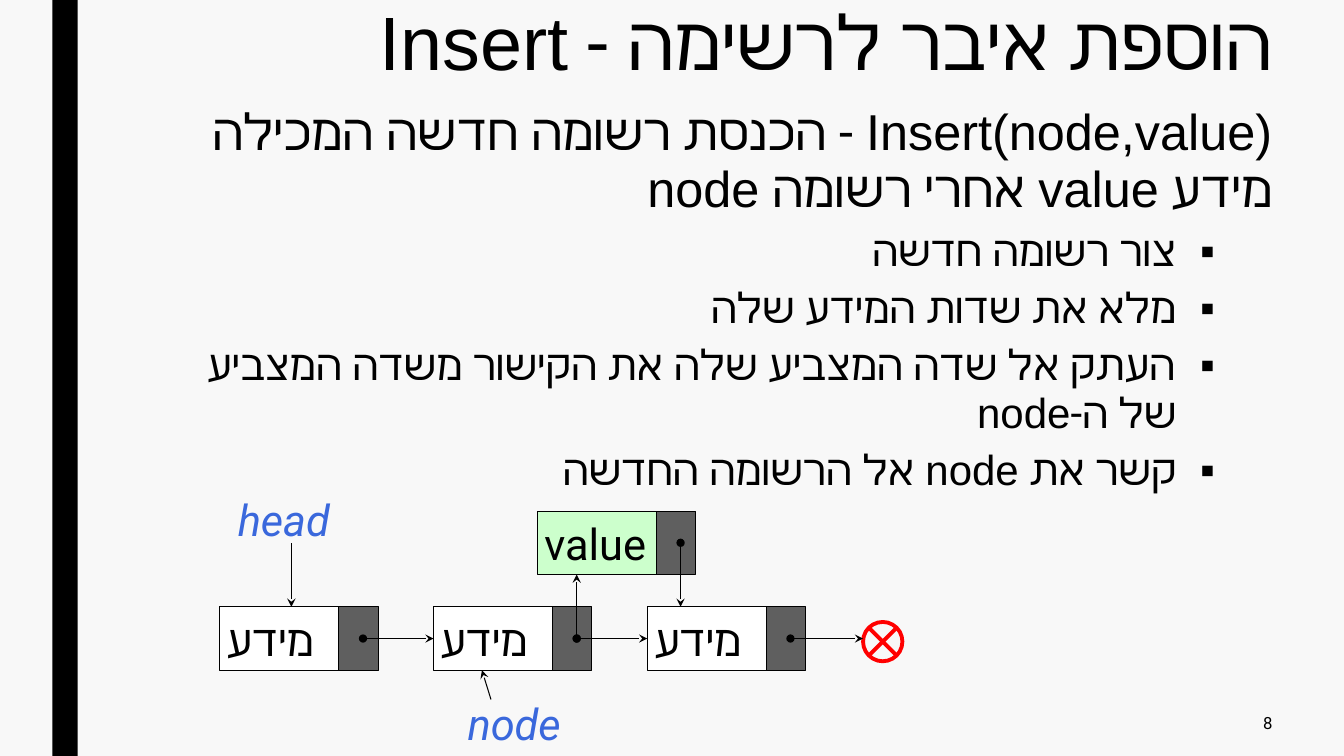
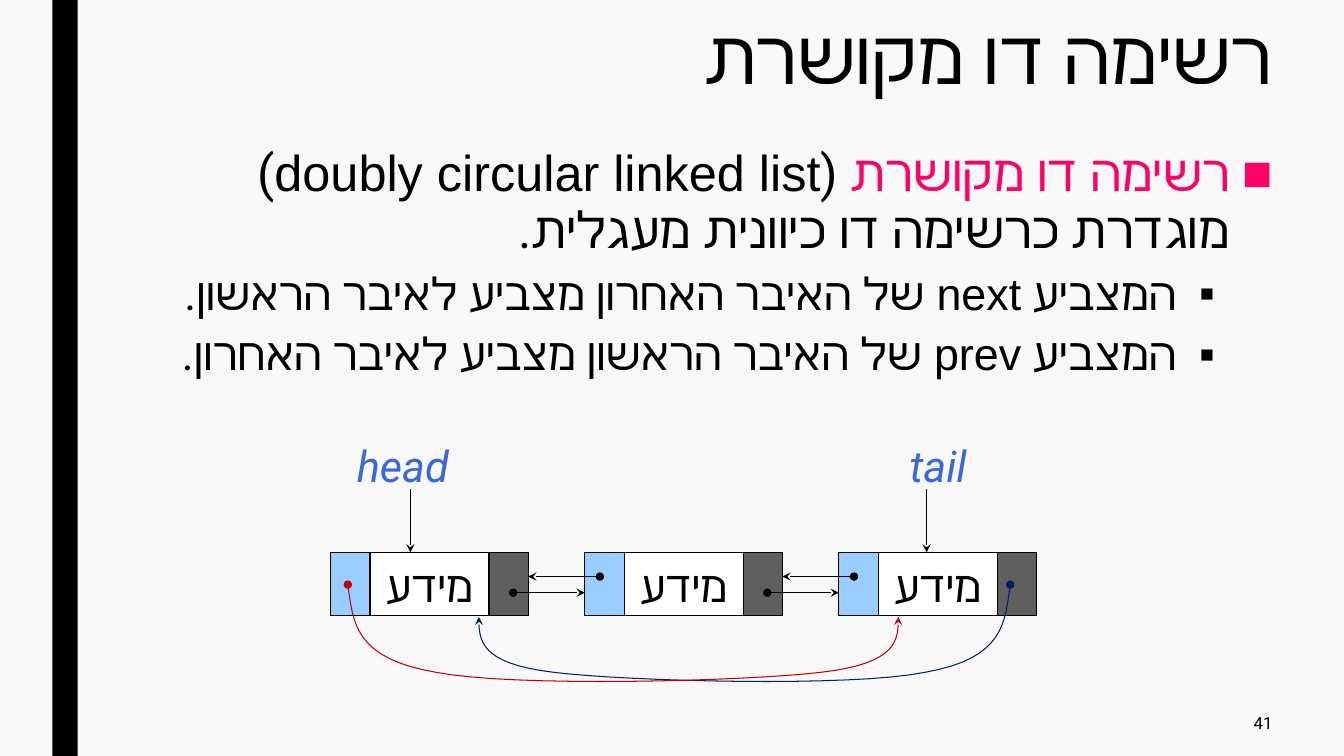
from dataclasses import dataclass

from lxml.etree import SubElement
from pptx import Presentation
from pptx.dml.color import RGBColor
from pptx.enum.shapes import MSO_CONNECTOR, MSO_SHAPE
from pptx.enum.text import MSO_ANCHOR, MSO_AUTO_SIZE, PP_ALIGN
from pptx.oxml.ns import qn
from pptx.util import Inches, Pt


@dataclass(frozen=True)
class Theme:
    paper: str = "F8F8F8"
    ink: str = "000000"
    white: str = "FFFFFF"
    next_cell: str = "5F5F5F"
    prev_cell: str = "99CCFF"
    new_cell: str = "CCFFCC"
    pointer_name: str = "3A68DC"
    term: str = "FF0066"
    null_mark: str = "FF0000"
    to_head: str = "002060"
    to_tail: str = "C00000"
    text_font: str = "Arial"
    diagram_font: str = "Roboto"
    title_size: int = 54
    lead_size: int = 36
    diagram_size: int = 31
    number_size: int = 12
    thin: float = 0.75
    thick: float = 2.75


THEME = Theme()
DATA_WIDTH, LINK_WIDTH, CELL_HEIGHT = 1.18, 0.39, 0.63
DOT_INSET = 0.24
INFO = "מידע"

TITLE_FORMAT = {"alignment": PP_ALIGN.RIGHT, "line_spacing": 0.89}
LEAD_FORMAT = {"alignment": PP_ALIGN.RIGHT, "line_spacing": 0.94,
               "space_before": Pt(0), "space_after": Pt(2)}
ITEM_FORMAT = LEAD_FORMAT | {"level": 1, "space_before": Pt(5)}

# Bezier points of a circular link: share of the run across, inches below the dot
LOOP = [(0, 0), (0.01, 0.37), (0.01, 0.73), (0.16, 0.87), (0.3, 1.02),
        (0.72, 0.96), (0.86, 0.87), (1, 0.78), (1, 0.55), (1, 0.32)]
LOOP_STEPS = 16


def rgb(color):
    return RGBColor.from_string(color)


def apply(target, values):
    for name, value in values.items():
        setattr(target, name, value)


def bezier(points, t):
    """Point at share t of a cubic curve."""
    weights = ((1 - t) ** 3, 3 * t * (1 - t) ** 2, 3 * t * t * (1 - t), t ** 3)
    return tuple(sum(w * p[axis] for w, p in zip(weights, points)) for axis in (0, 1))


class Deck:
    def __init__(self):
        self.prs = Presentation()
        apply(self.prs, {"slide_width": Inches(13.33), "slide_height": Inches(7.5)})
        self.layout = self.prs.slide_layouts[1]
        background = self.prs.slide_master.background.fill
        background.solid()
        background.fore_color.rgb = rgb(THEME.paper)
        self.slide = None

    def new_slide(self, title, title_top, number):
        first = self.slide is None
        self.slide = self.prs.slides.add_slide(self.layout)
        if first:
            band = self.box(0.52, 0, 0.25, 7.5, THEME.ink, line=None)
            self.layout.shapes.element.append(band.element)
        heading = self.slide.shapes.title
        self.place(heading, 1.5, title_top, 11.22, 1.13)
        paragraph = heading.text_frame.paragraphs[0]
        self.paragraph_style(heading, paragraph, 0, rtl=True)
        apply(paragraph, TITLE_FORMAT)
        self.run(paragraph, title, THEME.title_size)
        self.complex_font(heading)
        self.text(str(number), 10.97, 6.95, 1.75, 0.44, PP_ALIGN.RIGHT,
                  MSO_ANCHOR.MIDDLE, THEME.number_size, THEME.ink)

    def place(self, shape, left, top, width, height):
        apply(shape, {"left": Inches(left), "top": Inches(top),
                      "width": Inches(width), "height": Inches(height)})
        apply(shape.text_frame, {"word_wrap": True, "auto_size": MSO_AUTO_SIZE.NONE,
                                 "vertical_anchor": MSO_ANCHOR.TOP})

    def run(self, paragraph, words, size, color=THEME.ink, font=THEME.text_font, italic=None):
        run = paragraph.add_run()
        run.text = words
        apply(run.font, {"size": Pt(size), "italic": italic, "name": font})
        run.font.color.rgb = rgb(color)

    def complex_font(self, shape):
        """Give Hebrew letters a font too, which Font.name leaves unset."""
        for properties in shape.element.iter(qn("a:rPr")):
            SubElement(properties, qn("a:cs"), typeface=THEME.diagram_font)

    def paragraph_style(self, shape, paragraph, index, margin=0, hang=0, bullet=None, rtl=False):
        properties = shape.element.txBody.p_lst[index].get_or_add_pPr()
        properties.set("marL", str(Inches(margin)))
        properties.set("indent", str(-Inches(hang)))
        properties.set("rtl", str(int(rtl)))
        if bullet:
            SubElement(properties, qn("a:buChar"), char=bullet)
        else:
            SubElement(properties, qn("a:buNone"))

    def body(self, top, lead, lead_list, items, item_size):
        """Write the lead paragraph (runs of words and colour), then its items."""
        shape = self.slide.placeholders[1]
        self.place(shape, 1.5, top, 11.22, 5.42)
        frame = shape.text_frame
        paragraph = frame.paragraphs[0]
        self.paragraph_style(shape, paragraph, 0, rtl=True,
                             **({"margin": 0.42, "hang": 0.42, "bullet": "■"} if lead_list else {}))
        apply(paragraph, LEAD_FORMAT)
        for words, color in lead:
            self.run(paragraph, words, THEME.lead_size, color)
        for index, item in enumerate(items, 1):
            paragraph = frame.add_paragraph()
            self.paragraph_style(shape, paragraph, index, 0.95, 0.38, "▪", rtl=True)
            apply(paragraph, ITEM_FORMAT)
            self.run(paragraph, item, item_size)
        self.complex_font(shape)

    def text(self, words, left, top, width, height, align=PP_ALIGN.LEFT,
             anchor=MSO_ANCHOR.BOTTOM, size=THEME.diagram_size, color=THEME.pointer_name,
             italic=None):
        label = self.slide.shapes.add_textbox(0, 0, 0, 0)
        self.place(label, left, top, width, height)
        label.text_frame.vertical_anchor = anchor
        paragraph = label.text_frame.paragraphs[0]
        paragraph.alignment = align
        self.run(paragraph, words, size, color, THEME.diagram_font, italic)

    def pointer_name(self, words, left, top, width=1.65, align=PP_ALIGN.LEFT):
        self.text(words, left, top, width, 0.62, align, italic=True)

    def box(self, left, top, width, height, fill, line=THEME.ink, weight=THEME.thin,
            preset=MSO_SHAPE.RECTANGLE):
        shape = self.slide.shapes.add_shape(
            preset, Inches(left), Inches(top), Inches(width), Inches(height))
        shape.shadow.inherit = False
        if fill:
            shape.fill.solid()
            shape.fill.fore_color.rgb = rgb(fill)
        else:
            shape.fill.background()
        if line:
            shape.line.color.rgb = rgb(line)
            shape.line.width = Pt(weight)
        else:
            shape.line.fill.background()
        return shape

    def node(self, left, top, words=INFO, fill=THEME.white, align=PP_ALIGN.LEFT, two_way=False):
        """Draw a record and return its data cell; left is that cell's edge."""
        data = self.box(left, top, DATA_WIDTH, CELL_HEIGHT, fill)
        apply(data.text_frame, {"margin_left": Inches(0.07), "margin_right": Inches(0.07),
                                "vertical_anchor": MSO_ANCHOR.BOTTOM, "word_wrap": True})
        paragraph = data.text_frame.paragraphs[0]
        paragraph.alignment = align
        self.run(paragraph, words, THEME.diagram_size, THEME.ink, THEME.diagram_font)
        self.complex_font(data)
        self.box(left + DATA_WIDTH, top, LINK_WIDTH, CELL_HEIGHT, THEME.next_cell)
        if two_way:
            self.box(left - LINK_WIDTH, top, LINK_WIDTH, CELL_HEIGHT, THEME.prev_cell)
        return data

    def line_ends(self, shape, color, dot):
        shape.line.color.rgb = rgb(color)
        shape.line.width = Pt(THEME.thin)
        line = shape.element.spPr.get_or_add_ln()
        if dot:
            SubElement(line, qn("a:headEnd"), type="oval")
        SubElement(line, qn("a:tailEnd"), type="stealth")

    def arrow(self, start, end, dot=True, target=None):
        """Draw an arrow; a target is joined at its left side."""
        link = self.slide.shapes.add_connector(
            MSO_CONNECTOR.STRAIGHT, *(Inches(value) for value in (*start, *end)))
        self.line_ends(link, THEME.ink, dot)
        SubElement(link.element.spPr, qn("a:effectLst"))
        if target is not None:
            link.end_connect(target, 1)

    def loop(self, start_x, end_x, top, color):
        points = [(start_x + share * (end_x - start_x), top + drop) for share, drop in LOOP]
        curve = [bezier(points[first:first + 4], step / LOOP_STEPS)
                 for first in (0, 3, 6) for step in range(1, LOOP_STEPS + 1)]
        builder = self.slide.shapes.build_freeform(Inches(start_x), Inches(top))
        builder.add_line_segments([(Inches(x), Inches(y)) for x, y in curve], close=False)
        shape = builder.convert_to_shape()
        shape.fill.background()
        shape.shadow.inherit = False
        self.line_ends(shape, color, dot=True)


def insert_slide(deck):
    deck.new_slide("הוספת איבר לרשימה - Insert", 0.01, 8)
    deck.body(0.99, [("Insert(node,value) - הכנסת רשומה חדשה המכילה מידע value אחרי רשומה node",
                      THEME.ink)], False,
              ["צור רשומה חדשה", "מלא את שדות המידע שלה",
               "העתק אל שדה המצביע שלה את הקישור משדה המצביע של ה-node",
               "קשר את node אל הרשומה החדשה"], 30)
    top, new_top, new_left = 6.02, 5.07, 5.33
    middle = top + CELL_HEIGHT / 2
    lefts = [2.18 + 2.12 * index for index in range(3)]
    dots = [left + DATA_WIDTH + DOT_INSET for left in lefts]
    records = [deck.node(left, top) for left in lefts]
    deck.node(new_left, new_top, "value", THEME.new_cell)
    deck.box(8.56, 6.17, 0.39, 0.39, None, THEME.null_mark, THEME.thick,
             MSO_SHAPE.FLOWCHART_SUMMING_JUNCTION)
    for dot, left, record in zip(dots, lefts[1:], records[1:]):
        deck.arrow((dot, middle), (left, middle), target=record)
    deck.arrow((dots[2], middle), (8.56, middle))
    deck.arrow((dots[1], middle), (dots[1], new_top + CELL_HEIGHT))
    new_dot = new_left + DATA_WIDTH + DOT_INSET
    deck.arrow((new_dot, new_top + CELL_HEIGHT / 2), (new_dot, top))
    deck.pointer_name("head", 2.26, 4.84)
    deck.arrow((2.89, 5.39), (2.89, top), dot=False)
    deck.pointer_name("node", 4.32, 6.86, 1.34, PP_ALIGN.RIGHT)
    deck.arrow((4.87, 6.94), (4.78, top + CELL_HEIGHT), dot=False)


def doubly_linked_slide(deck):
    deck.new_slide("רשימה דו מקושרת", 0.15, 41)
    deck.body(1.4, [("רשימה דו מקושרת ", THEME.term),
                    ("(doubly circular linked list) מוגדרת כרשימה דו כיוונית מעגלית.",
                     THEME.ink)], True,
              ["המצביע next של האיבר האחרון מצביע לאיבר הראשון.",
               "המצביע prev של האיבר הראשון מצביע לאיבר האחרון."], 32)
    top = 5.48
    lefts = [3.67 + 2.52 * index for index in range(3)]
    for left in lefts:
        deck.node(left, top, align=PP_ALIGN.CENTER, two_way=True)
    for left, following in zip(lefts, lefts[1:]):
        next_y, prev_y = top + 0.4, top + 0.24
        deck.arrow((left + DATA_WIDTH + DOT_INSET, next_y), (following - LINK_WIDTH, next_y))
        deck.arrow((following - DOT_INSET, prev_y), (left + DATA_WIDTH + LINK_WIDTH, prev_y))
    for words, left, align, tip in (("head", 3.44, PP_ALIGN.LEFT, 4.07),
                                    ("tail", 8.48, PP_ALIGN.CENTER, 9.19)):
        deck.pointer_name(words, left, 4.3, align=align)
        deck.arrow((tip, 4.85), (tip, top), dot=False)
    deck.loop(10.02, 4.75, 5.8, THEME.to_head)
    deck.loop(3.45, 8.91, 5.8, THEME.to_tail)


def main():
    deck = Deck()
    insert_slide(deck)
    doubly_linked_slide(deck)
    deck.prs.save("out.pptx")


if __name__ == "__main__":
    main()
